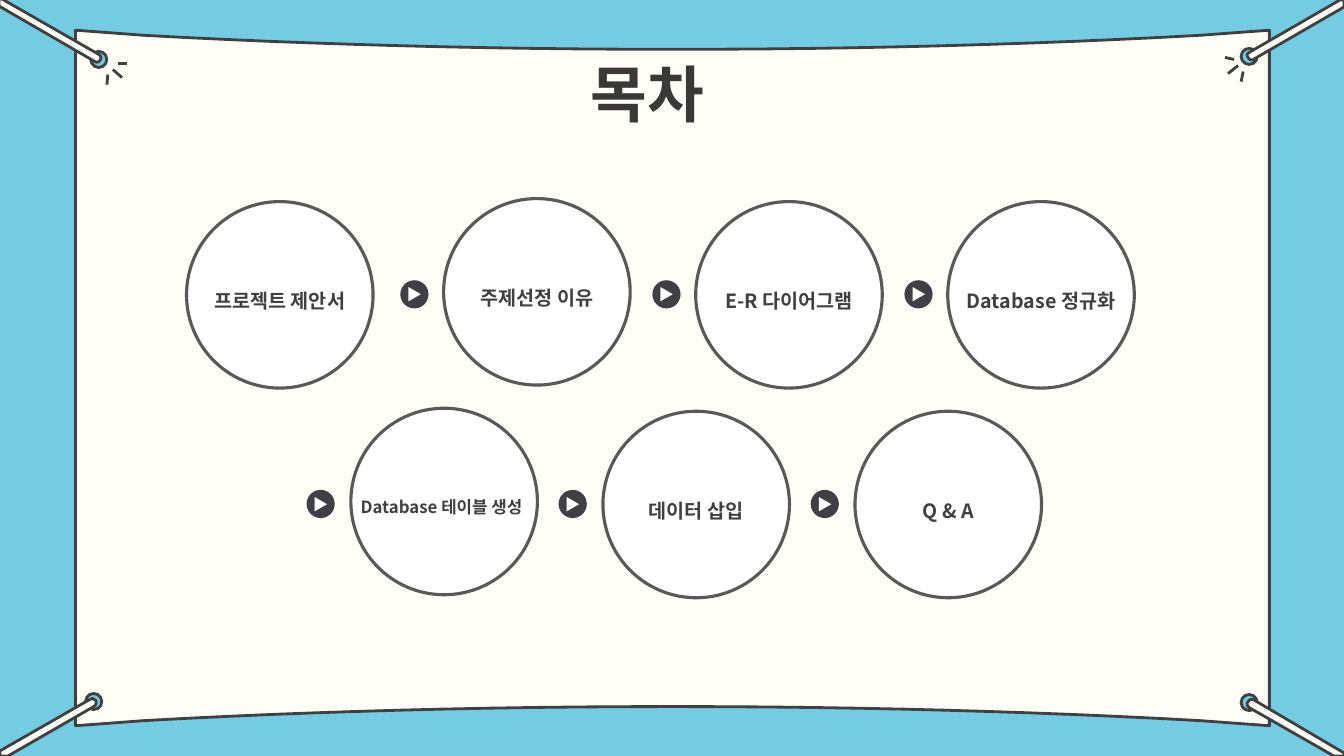
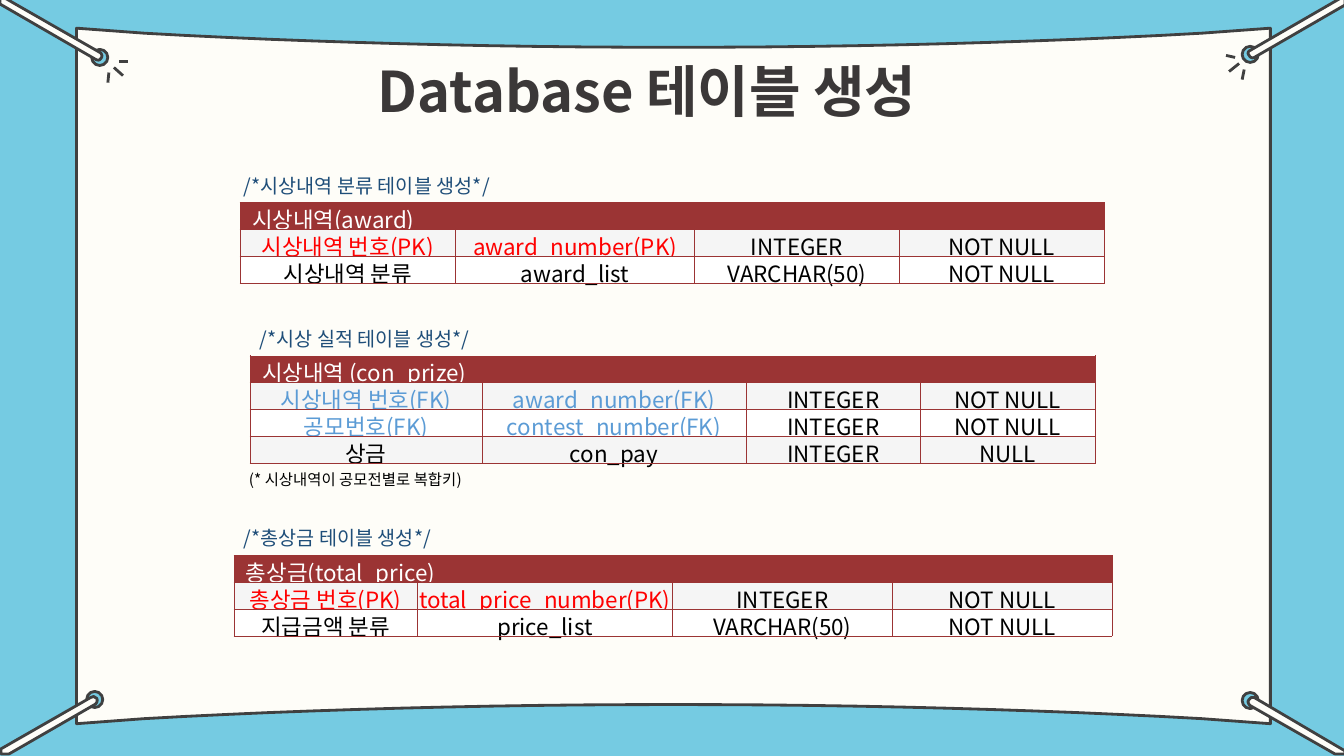
from dataclasses import dataclass
from typing import Any

from lxml import etree
from pptx import Presentation
from pptx import util as u
from pptx.dml.color import RGBColor
from pptx.enum import shapes, text
from pptx.oxml.ns import qn

# Shared look
FONT = "Noto Sans CJK KR"
SKY, PAPER, INK, TITLE = "75CBE2", "FEFDF8", "404040", "3B3838"
RING, BUTTON, WHITE, BLACK = "595959", "403F45", "FFFFFF", "000000"
MAROON, STRIPE, CAPTION = "9B3434", "F5F5F5", "1F4E79"
PRIMARY, FOREIGN = "FF0000", "5B9BD5"
CENTER, LEFT = text.PP_ALIGN.CENTER, text.PP_ALIGN.LEFT
MIDDLE = text.MSO_ANCHOR.MIDDLE
ROW_HEIGHT = 0.267

# Outlines: a pair is a corner, six numbers are a Bézier curve
BANNER = [
    (12.59, 0.3), (12.59, 7.2), (11.91, 7.15),
    (10.31, 7.06, 8.51, 7.01, 6.67, 7.01), (4.83, 7.01, 3.02, 7.06, 1.42, 7.15),
    (0.75, 7.2), (0.75, 0.3), (1.42, 0.35),
    (3.02, 0.44, 4.83, 0.49, 6.67, 0.49), (8.51, 0.49, 10.31, 0.44, 11.91, 0.35),
]


@dataclass
class Corner:
    eyelet: tuple[float, float]
    rope: list[tuple[float, ...]]


CORNERS = [
    Corner((0.9, 0.51), [(-0.01, -0.01), (0.02, -0.01), (0.98, 0.54),
                         (1, 0.55, 1.01, 0.58, 0.99, 0.6),
                         (0.98, 0.62, 0.96, 0.62, 0.94, 0.61), (-0.01, 0.06)]),
    Corner((0.85, 6.88), [(0.92, 6.93), (0.93, 6.94, 0.94, 6.94, 0.95, 6.95),
                          (0.96, 6.97, 0.95, 7, 0.93, 7.01), (0.08, 7.5), (0, 7.5),
                          (0, 7.45), (0.89, 6.94)]),
    Corner((12.31, 0.48), [(13.29, 0), (13.33, 0), (13.33, 0.07), (12.43, 0.59),
                           (12.41, 0.6, 12.39, 0.59, 12.38, 0.57),
                           (12.36, 0.55, 12.37, 0.53, 12.39, 0.52)]),
    Corner((12.31, 6.89), [(12.4, 6.94), (12.41, 6.94, 12.42, 6.94, 12.43, 6.94),
                           (13.33, 7.47), (13.33, 7.5), (13.23, 7.5), (12.39, 7.02),
                           (12.37, 7, 12.36, 6.98, 12.38, 6.96)]),
]
SPARKS = [
    (12.28, 0.65, 12.18, 0.73), (12.33, 0.71, 12.31, 0.81), (12.24, 0.59, 12.15, 0.57),
    (1.12, 0.69, 1.21, 0.77), (1.17, 0.63, 1.26, 0.63), (1.07, 0.74, 1.06, 0.84),
]


# Content
@dataclass
class Step:
    label: str
    left: float
    top: float
    size: float = 14
    right_inset: float = 0.1


STEPS = [
    Step("프로젝트 제안서", 1.85, 2),
    Step("주제선정 이유", 4.4, 1.97),
    Step("E-R 다이어그램", 6.9, 2),
    Step("Database 정규화", 9.4, 2),
    Step("Database 테이블 생성", 3.48, 4.05, 12, 0.15),
    Step("데이터 삽입", 5.98, 4.08),
    Step("Q & A", 8.48, 4.08),
]
ARROW_ROWS = [(3.97, 2.78), (3.04, 4.86)]


@dataclass
class Schema:
    caption: str
    caption_at: tuple[float, float, float]
    left: float
    top: float
    widths: list[float]
    heading: str
    rows: list[list[str]]


SCHEMAS = [
    Schema("/*시상내역 분류 테이블 생성*/", (2.32, 1.68, 2.92), 2.38, 2.01,
           [2.14, 2.37, 2.03, 2.03], "시상내역(award)",
           [["시상내역 번호(PK)", "award_number(PK)", "INTEGER", "NOT NULL"],
            ["시상내역 분류", "award_list", "VARCHAR(50)", "NOT NULL"]]),
    Schema("/*시상 실적 테이블 생성*/", (2.48, 3.19, 2.52), 2.48, 3.53,
           [2.3, 2.62, 1.73, 1.73], "시상내역 (con_prize)",
           [["시상내역 번호(FK)", "award_number(FK)", "INTEGER", "NOT NULL"],
            ["공모번호(FK)", "contest_number(FK)", "INTEGER", "NOT NULL"],
            ["상금", "con_pay", "INTEGER", "NULL"]]),
    Schema("/*총상금 테이블 생성*/", (2.32, 5.17, 2.26), 2.32, 5.51,
           [1.82, 2.53, 2.18, 2.18], "총상금(total_price)",
           [["총상금 번호(PK)", "total_price_number(PK)", "INTEGER", "NOT NULL"],
            ["지급금액 분류", "price_list", "VARCHAR(50)", "NOT NULL"]]),
]


# Helpers
def color(value: str) -> RGBColor:
    return RGBColor.from_string(value)


def apply(target: Any, values: dict[str, Any]) -> None:
    for name, value in values.items():
        setattr(target, name, value)


def write(frame: Any, words: str, size: float, ink: str, bold: bool = False,
          align: Any = CENTER, spacing: float | None = None) -> None:
    paragraph = frame.paragraphs[0]
    apply(paragraph, {"alignment": align, "line_spacing": spacing})
    run = paragraph.add_run()
    run.text = words
    apply(run.font, {"size": u.Pt(size), "bold": bold, "name": FONT})
    run.font.color.rgb = color(ink)
    etree.SubElement(run.font._element, qn("a:ea"), typeface=FONT)


def paint(shape: Any, fill: str, line: str | None = None, width: float = 2) -> None:
    shape.shadow.inherit = False
    shape.fill.solid()
    shape.fill.fore_color.rgb = color(fill)
    if line is None:
        shape.line.fill.background()
    else:
        shape.line.color.rgb = color(line)
        shape.line.width = u.Pt(width)


def add_circle(slide: Any, left: float, top: float, size: float) -> Any:
    return slide.shapes.add_shape(shapes.MSO_SHAPE.OVAL, u.Inches(left), u.Inches(top),
                                  u.Inches(size), u.Inches(size))


def add_text(slide: Any, left: float, top: float, width: float, height: float,
             wrap: bool = False) -> Any:
    box = slide.shapes.add_textbox(u.Inches(left), u.Inches(top),
                                   u.Inches(width), u.Inches(height))
    box.text_frame.word_wrap = wrap
    return box.text_frame


def trace(outline: list[tuple[float, ...]], steps: int = 12) -> list[tuple[float, float]]:
    points: list[tuple[float, float]] = []
    for part in outline:
        if len(part) == 2:
            points.append((part[0], part[1]))
            continue
        start = points[-1]
        for index in range(1, steps + 1):
            t = index / steps
            weights = ((1 - t) ** 3, 3 * t * (1 - t) ** 2, 3 * t * t * (1 - t), t ** 3)
            x, y = (sum(w * p for w, p in zip(weights, (start[axis], *part[axis::2])))
                    for axis in (0, 1))
            points.append((x, y))
    return points


def add_outline(slide: Any, outline: list[tuple[float, ...]], dx: float, dy: float) -> None:
    # The builder keeps whole units only, so points go in as EMU
    points = [(u.Inches(x + dx), u.Inches(y + dy)) for x, y in trace(outline)]
    builder = slide.shapes.build_freeform(*points[0], scale=1.0)
    builder.add_line_segments(points[1:], close=True)
    paint(builder.convert_to_shape(), PAPER, INK)


# Shared frame: sky, hanging banner and title
def add_frame(presentation: Any, title: str, size: float, height: float,
              dx: float = 0, dy: float = 0) -> Any:
    slide = presentation.slides.add_slide(presentation.slide_layouts[6])
    slide.background.fill.solid()
    slide.background.fill.fore_color.rgb = color(SKY)
    add_outline(slide, BANNER, dx, dy)
    for corner in CORNERS:
        left, top = corner.eyelet
        paint(add_circle(slide, left + dx, top + dy, 0.16), SKY, INK)
        add_outline(slide, corner.rope, dx, dy)
    for x1, y1, x2, y2 in SPARKS:
        spark = slide.shapes.add_connector(
            shapes.MSO_CONNECTOR.STRAIGHT, u.Inches(x1 + dx), u.Inches(y1 + dy),
            u.Inches(x2 + dx), u.Inches(y2 + dy))
        spark.line.color.rgb = color(INK)
        spark.line.width = u.Pt(2)
        etree.SubElement(spark.element.spPr, qn("a:effectLst"))
    frame = add_text(slide, 3.56, 0.51, 6.21, height, wrap=True)
    frame.margin_right = u.Inches(0.59)
    write(frame, title, size, TITLE, bold=True)
    return slide


# Contents slide
def add_step(slide: Any, step: Step) -> None:
    circle = add_circle(slide, step.left, step.top, 1.85)
    paint(circle, WHITE, RING, 2.25)
    apply(circle.text_frame, {"word_wrap": False, "vertical_anchor": MIDDLE,
                              "margin_right": u.Inches(step.right_inset)})
    write(circle.text_frame, step.label, step.size, INK, bold=True, spacing=1.5)


def add_arrow(slide: Any, left: float, top: float) -> None:
    button = add_circle(slide, left, top, 0.28)
    paint(button, BUTTON)
    apply(button.text_frame, {"word_wrap": False, "vertical_anchor": MIDDLE})
    write(button.text_frame, "▶", 11, WHITE, bold=True)


# Table slide
def style_cell(cell: Any, fill: str, left_inset: float = 0) -> None:
    properties = cell._tc.get_or_add_tcPr()
    for side in ("lnL", "lnR", "lnT", "lnB"):
        border = etree.SubElement(properties, qn(f"a:{side}"), w=str(u.Pt(0.5)))
        solid = etree.SubElement(border, qn("a:solidFill"))
        etree.SubElement(solid, qn("a:srgbClr"), val=MAROON)
    cell.fill.solid()
    cell.fill.fore_color.rgb = color(fill)
    apply(cell, {"margin_left": u.Inches(left_inset), "margin_right": 0, "margin_top": 0,
                 "margin_bottom": 0, "vertical_anchor": MIDDLE})


def key_color(label: str) -> str:
    if label.endswith("(PK)"):
        return PRIMARY
    return FOREIGN if label.endswith("(FK)") else BLACK


def add_schema(slide: Any, schema: Schema) -> None:
    write(add_text(slide, *schema.caption_at, 0.34), schema.caption, 14, CAPTION, align=LEFT)
    count = len(schema.rows) + 1
    height = u.Inches(ROW_HEIGHT * count)
    graphic = slide.shapes.add_table(count, len(schema.widths), u.Inches(schema.left),
                                     u.Inches(schema.top), u.Inches(sum(schema.widths)), height)
    table = graphic.table
    for column, width in zip(table.columns, schema.widths):
        column.width = u.Inches(width)
    # Zero-height rows share the frame height, tighter than their text
    for row in table.rows:
        row.height = 0
    graphic.height = height
    for cell in table.rows[0].cells:
        style_cell(cell, MAROON, 0.12)
    heading = table.cell(0, 0)
    heading.merge(table.cell(0, len(schema.widths) - 1))
    write(heading.text_frame, schema.heading, 16, WHITE, align=LEFT)
    for number, labels in enumerate(schema.rows, 1):
        for position, label in enumerate(labels):
            cell = table.cell(number, position)
            style_cell(cell, STRIPE if number % 2 else WHITE)
            write(cell.text_frame, label, 16, key_color(label))


def main() -> None:
    presentation = Presentation()
    apply(presentation, {"slide_width": u.Inches(13.33), "slide_height": u.Inches(7.5)})

    contents = add_frame(presentation, "목차", 44, 0.84)
    for step in STEPS:
        add_step(contents, step)
    for left, top in ARROW_ROWS:
        for index in range(3):
            add_arrow(contents, left + 2.5 * index, top)

    tables = add_frame(presentation, "Database 테이블 생성", 40, 0.77, 0.01, -0.02)
    for schema in SCHEMAS:
        add_schema(tables, schema)
    write(add_text(tables, 2.37, 4.61, 2.53, 0.29), "(* 시상내역이 공모전별로 복합키)",
          11, BLACK, align=LEFT)
    presentation.save("out.pptx")


if __name__ == "__main__":
    main()
